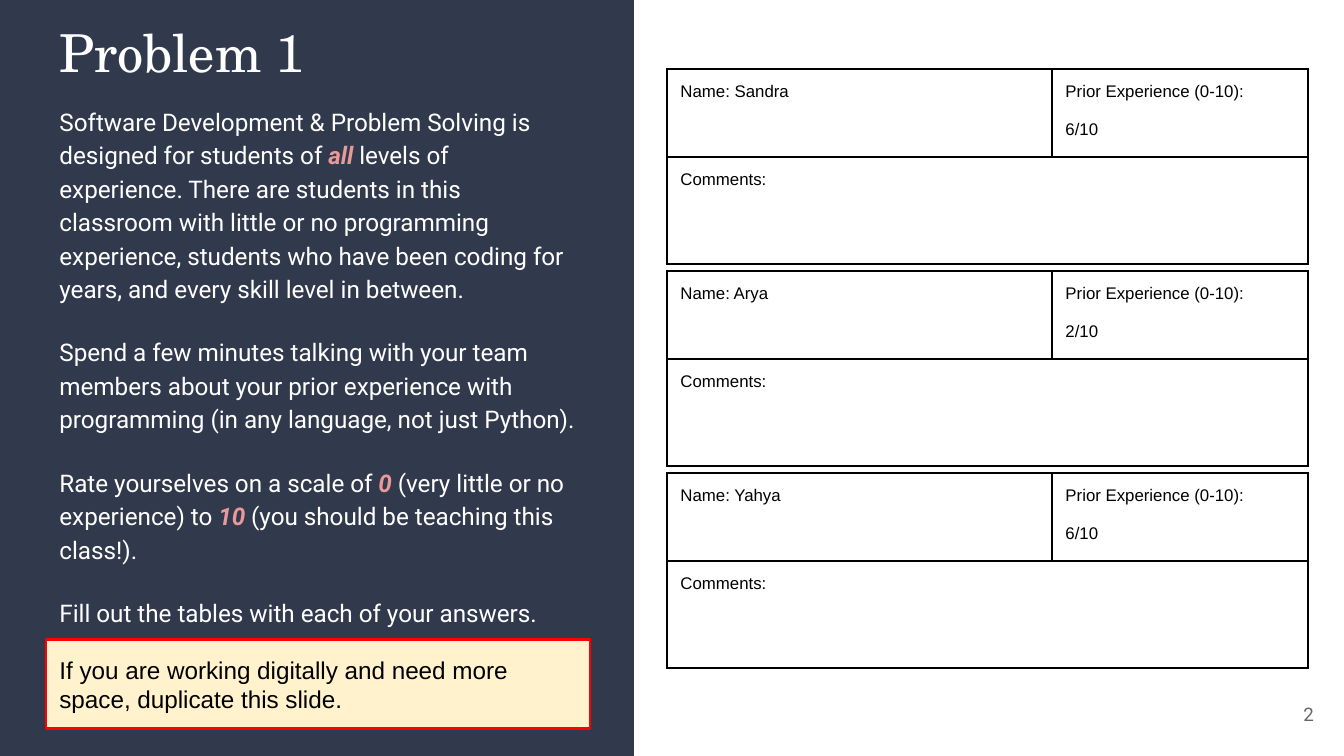
from lxml.etree import SubElement
from pptx import Presentation
from pptx.dml.color import RGBColor
from pptx.enum.shapes import MSO_SHAPE
from pptx.enum.text import MSO_ANCHOR, MSO_AUTO_SIZE, PP_ALIGN
from pptx.oxml.ns import qn
from pptx.util import Emu, Inches, Pt

SLIDE_WIDTH, SLIDE_HEIGHT = 1344, 756
NAVY, WHITE, BLACK, GRAY = "31394D", "FFFFFF", "000000", "666666"
ROSE, CREAM, RED = "EA9999", "FFF2CC", "FF0000"
HEADING_FONT, BODY_FONT, PLAIN_FONT = "TeX Gyre Schola", "Roboto", "Arial"

INSTRUCTIONS = [
    [("Software Development & Problem Solving is designed for students of ", False),
     ("all ", True),
     ("levels of experience. There are students in this classroom with little or no "
      "programming experience, students who have been coding for years, and every "
      "skill level in between.", False)],
    [("Spend a few minutes talking with your team members about your prior experience "
      "with programming (in any language, not just Python).", False)],
    [("Rate yourselves on a scale of ", False), ("0", True),
     (" (very little or no experience) to ", False), ("10", True),
     (" (you should be teaching this class!).", False)],
    [("Fill out the tables with each of your answers.", False)],
]
CALLOUT = "If you are working digitally and need more space, duplicate this slide."
STUDENTS = [("Sandra", "6/10"), ("Arya", "2/10"), ("Yahya", "6/10")]


def px(length):
    return Emu(round(length * 9144000 / SLIDE_WIDTH))


def color(value):
    return RGBColor.from_string(value)


def place(shape, left, top, width, height):
    shape.left, shape.top = px(left), px(top)
    shape.width, shape.height = px(width), px(height)


def set_frame(frame, anchor=MSO_ANCHOR.TOP, auto_size=MSO_AUTO_SIZE.NONE):
    frame.word_wrap = True
    frame.auto_size = auto_size
    frame.vertical_anchor = anchor
    frame.margin_left = frame.margin_right = Inches(0.1)
    frame.margin_top = frame.margin_bottom = Inches(0.1)


def add_text(paragraph, text, font=PLAIN_FONT, size=13, fill=BLACK, strong=False):
    run = paragraph.add_run()
    run.text = text
    run.font.name, run.font.size = font, Pt(size)
    run.font.color.rgb = color(fill)
    run.font.bold = run.font.italic = strong


def format_paragraph(paragraph, align=PP_ALIGN.LEFT, line=1, before=0, after=0):
    paragraph.alignment = align
    paragraph.line_spacing = line
    paragraph.space_before, paragraph.space_after = Pt(before), Pt(after)


def remove_bullet(paragraph):
    properties = paragraph._p.get_or_add_pPr()
    properties.set("marL", "0")
    properties.set("indent", "0")
    SubElement(properties, qn("a:buNone"))


def add_panel(slide, left, top, width, height):
    """Add the dark panel behind every other shape."""
    panel = slide.shapes.add_shape(
        MSO_SHAPE.RECTANGLE, px(left), px(top), px(width), px(height))
    panel.shadow.inherit = False
    panel.fill.solid()
    panel.fill.fore_color.rgb = color(NAVY)
    panel.line.fill.background()
    panel.element.getparent().insert(2, panel.element)


def fill_title(title, left, top, width, height):
    place(title, left, top, width, height)
    set_frame(title.text_frame)
    paragraph = title.text_frame.paragraphs[0]
    format_paragraph(paragraph)
    add_text(paragraph, "Problem 1", font=HEADING_FONT, size=28, fill=WHITE)


def fill_instructions(body, left, top, width, height):
    place(body, left, top, width, height)
    frame = body.text_frame
    set_frame(frame, auto_size=MSO_AUTO_SIZE.SHAPE_TO_FIT_TEXT)
    for index, parts in enumerate(INSTRUCTIONS):
        paragraph = frame.add_paragraph() if index else frame.paragraphs[0]
        format_paragraph(paragraph, line=1.15, before=16 if index else 0,
                         after=16 if index == len(INSTRUCTIONS) - 1 else 0)
        remove_bullet(paragraph)
        for text, strong in parts:
            add_text(paragraph, text, font=BODY_FONT,
                     fill=ROSE if strong else WHITE, strong=strong)


def fill_callout(body, left, top, width, height):
    place(body, left, top, width, height)
    body.fill.solid()
    body.fill.fore_color.rgb = color(CREAM)
    body.line.color.rgb = color(RED)
    body.line.width = Pt(1.5)
    set_frame(body.text_frame, MSO_ANCHOR.MIDDLE, MSO_AUTO_SIZE.SHAPE_TO_FIT_TEXT)
    paragraph = body.text_frame.paragraphs[0]
    format_paragraph(paragraph)
    remove_bullet(paragraph)
    add_text(paragraph, CALLOUT)


def format_cell(cell):
    """Clear the cell's fill and give it black borders."""
    cell.margin_left = cell.margin_right = Inches(0.1)
    cell.margin_top = cell.margin_bottom = Inches(0.1)
    properties = cell._tc.get_or_add_tcPr()
    for side in ("a:lnL", "a:lnR", "a:lnT", "a:lnB"):
        border = SubElement(properties, qn(side), w=str(Pt(1.5)))
        fill = SubElement(border, qn("a:solidFill"))
        SubElement(fill, qn("a:srgbClr"), val=BLACK)
    cell.fill.background()


def add_student_table(slide, name, rating, left, top, width, height):
    table = slide.shapes.add_table(
        2, 2, px(left), px(top), px(width), px(height)).table
    table.first_row = table.horz_banding = False
    name_width, head_height = round(width * 0.6), round(height * 0.45)
    table.columns[0].width = px(name_width)
    table.columns[1].width = px(width - name_width)
    table.rows[0].height = px(head_height)
    table.rows[1].height = px(height - head_height)
    for cell in table.iter_cells():
        format_cell(cell)
    table.cell(1, 0).merge(table.cell(1, 1))

    experience = table.cell(0, 1).text_frame
    rating_paragraph = experience.add_paragraph()
    rating_paragraph.space_before = Pt(10)
    add_text(table.cell(0, 0).text_frame.paragraphs[0], f"Name: {name}", size=9)
    add_text(experience.paragraphs[0], "Prior Experience (0-10):", size=9)
    add_text(rating_paragraph, rating, size=9)
    add_text(table.cell(1, 0).text_frame.paragraphs[0], "Comments:", size=9)


def add_page_number(slide, left, top, width, height):
    box = slide.shapes.add_textbox(px(left), px(top), px(width), px(height))
    set_frame(box.text_frame, MSO_ANCHOR.MIDDLE)
    paragraph = box.text_frame.paragraphs[0]
    format_paragraph(paragraph, align=PP_ALIGN.RIGHT)
    add_text(paragraph, "2", font=BODY_FONT, size=10, fill=GRAY)


def main():
    presentation = Presentation()
    presentation.slide_width = px(SLIDE_WIDTH)
    presentation.slide_height = px(SLIDE_HEIGHT)
    slide = presentation.slides.add_slide(
        presentation.slide_layouts.get_by_name("Two Content"))
    title, instructions, callout = list(slide.placeholders)[:3]

    add_panel(slide, 0, 0, 634, SLIDE_HEIGHT)
    fill_title(title, 46, 7, 544, 94)
    fill_instructions(instructions, 46, 89, 544, 552)
    fill_callout(callout, 46, 641, 544, 86)
    for index, (name, rating) in enumerate(STUDENTS):
        add_student_table(slide, name, rating, 667, 69 + 202 * index, 641, 195)
    add_page_number(slide, 1246, 685, 81, 58)
    presentation.save("out.pptx")


if __name__ == "__main__":
    main()
